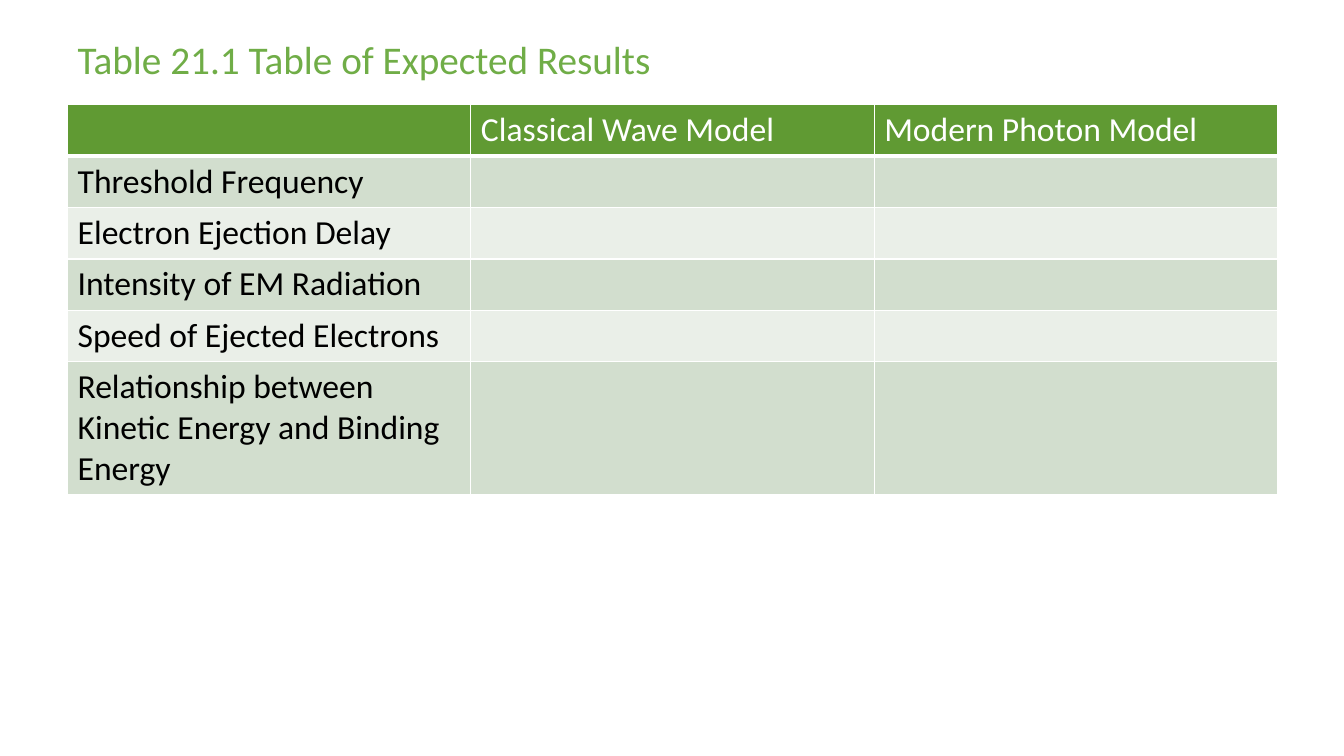
from pptx import Presentation
from pptx.dml.color import RGBColor
from pptx.enum.text import MSO_ANCHOR, PP_ALIGN
from pptx.oxml import parse_xml
from pptx.oxml.ns import nsdecls
from pptx.util import Inches, Pt

TABLE_ROWS = [
    ["", "Classical Wave Model", "Modern Photon Model"],
    ["Threshold Frequency", "", ""],
    ["Electron Ejection Delay", "", ""],
    ["Intensity of EM Radiation", "", ""],
    ["Speed of Ejected Electrons", "", ""],
    ["Relationship between Kinetic Energy and Binding Energy", "", ""],
]
ROW_HEIGHTS = [0.51] * 5 + [1.31]
HEADER_FILL = "609A33"
BAND_FILLS = ["EAEFE8", "D2DECE"]


def color(value):
    return RGBColor.from_string(value)


def format_text(text_frame, size, hex_color):
    for paragraph in text_frame.paragraphs:
        paragraph.alignment = PP_ALIGN.LEFT
        for run in paragraph.runs:
            run.font.name = "Calibri"
            run.font.size = Pt(size)
            run.font.bold = False
            run.font.color.rgb = color(hex_color)


def set_borders(cell, bottom_width):
    properties = cell._tc.get_or_add_tcPr()
    widths = {"lnL": 1, "lnR": 1, "lnT": 1, "lnB": bottom_width}
    for position, (side, width) in enumerate(widths.items()):
        border = parse_xml(
            f'<a:{side} {nsdecls("a")} w="{Pt(width)}"><a:solidFill>'
            f'<a:srgbClr val="FFFFFF"/></a:solidFill></a:{side}>'
        )
        properties.insert(position, border)


def add_title(slide, left, top, width, height):
    title = slide.shapes.title
    title.left, title.top = Inches(left), Inches(top)
    title.width, title.height = Inches(width), Inches(height)
    text_frame = title.text_frame
    text_frame.text = "Table 21.1 Table of Expected Results"
    text_frame.vertical_anchor = MSO_ANCHOR.MIDDLE
    text_frame.word_wrap = True
    format_text(text_frame, 28, "70AD47")


def add_results_table(slide, left, top, width):
    column_count = len(TABLE_ROWS[0])
    table = slide.shapes.add_table(
        len(TABLE_ROWS), column_count, Inches(left), Inches(top),
        Inches(width), Inches(sum(ROW_HEIGHTS)),
    ).table
    for column in table.columns:
        column.width = Inches(width / column_count)
    for row_index, texts in enumerate(TABLE_ROWS):
        is_header = row_index == 0
        table.rows[row_index].height = Inches(ROW_HEIGHTS[row_index])
        for column_index, text in enumerate(texts):
            cell = table.cell(row_index, column_index)
            cell.text_frame.text = text
            format_text(cell.text_frame, 24, "FFFFFF" if is_header else "000000")
            cell.fill.solid()
            fill = HEADER_FILL if is_header else BAND_FILLS[row_index % 2]
            cell.fill.fore_color.rgb = color(fill)
            set_borders(cell, 3 if is_header else 1)


def main():
    presentation = Presentation()
    presentation.slide_width = Inches(13.33)
    presentation.slide_height = Inches(7.5)
    slide = presentation.slides.add_slide(presentation.slide_layouts[5])
    slide.background.fill.solid()
    slide.background.fill.fore_color.rgb = color("FFFFFF")
    add_title(slide, 0.67, 0.26, 9.9, 0.64)
    add_results_table(slide, 0.67, 1.04, 12)
    presentation.save("out.pptx")


if __name__ == "__main__":
    main()
